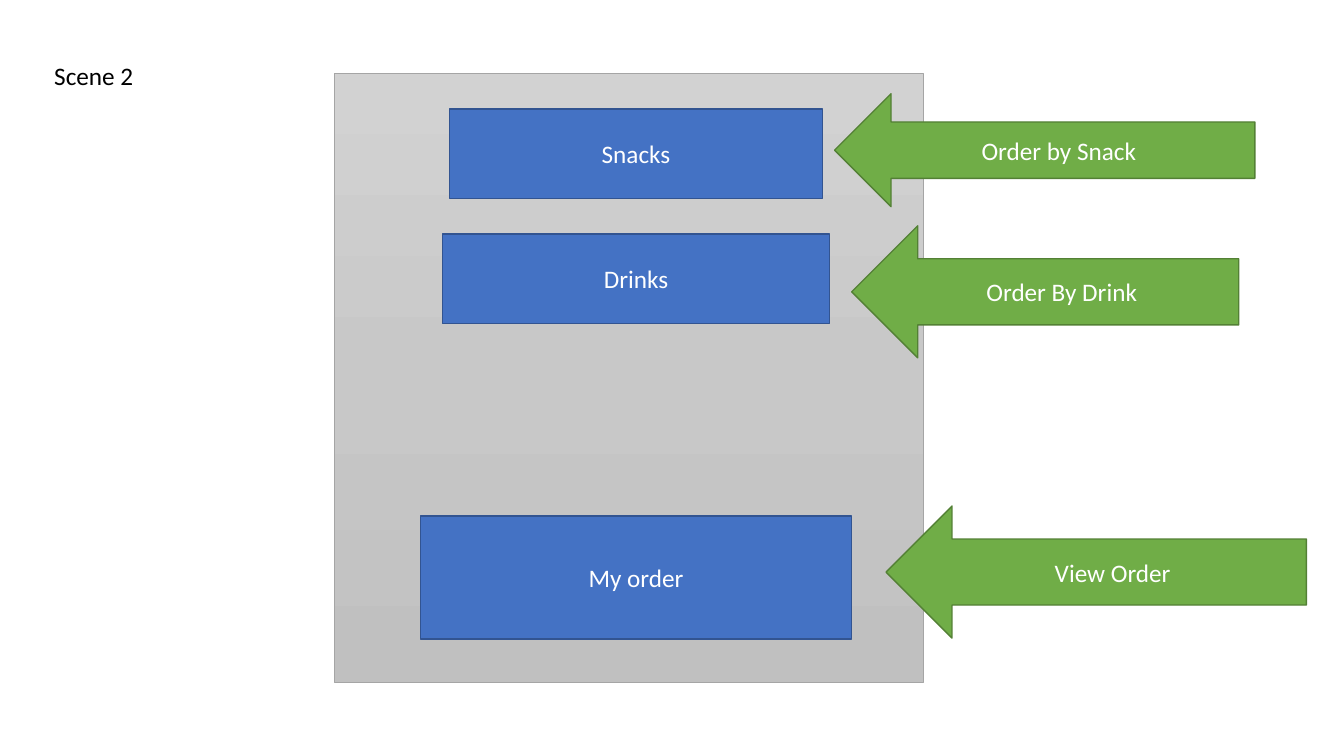
from copy import deepcopy

from pptx import Presentation
from pptx.dml.color import RGBColor
from pptx.enum.shapes import MSO_SHAPE
from pptx.enum.text import MSO_ANCHOR, MSO_AUTO_SIZE, PP_ALIGN
from pptx.oxml.ns import qn
from pptx.util import Pt

RECTANGLE = MSO_SHAPE.RECTANGLE
LEFT_ARROW = MSO_SHAPE.LEFT_ARROW
MIDDLE = MSO_ANCHOR.MIDDLE
CENTER = PP_ALIGN.CENTER
LEFT = PP_ALIGN.LEFT
GROW = MSO_AUTO_SIZE.SHAPE_TO_FIT_TEXT

COLORS = {
    "screen_top": "D2D2D2",
    "screen_middle": "C8C8C8",
    "screen_bottom": "C0C0C0",
    "screen_edge": "A5A5A5",
    "button": "4472C4",
    "button_edge": "325491",
    "arrow": "70AD47",
    "arrow_edge": "538035",
    "label": "FFFFFF",
    "heading": "000000",
}

SCREEN = (239.04, 52.56, 420.48, 434.88)
HEADING = (31.68, 39.6, 177.12, 28.8)
BUTTON_AXIS = 215.28
BUTTONS = [
    ("Snacks", 25.2, 266.4, 64.08),
    ("Drinks", 114.48, 276.48, 64.08),
    ("My order", 316.08, 308.16, 87.84),
]
ARROWS = [
    ("Order by Snack", 357.12, 14.4, 300.24, 80.64),
    ("Order By Drink", 369.36, 108.72, 276.48, 94.32),
    ("View Order", 393.84, 308.88, 300.24, 94.32),
]


def color(key):
    return RGBColor.from_string(COLORS[key])


def write(frame, words, color_key, align):
    frame.word_wrap = True
    paragraph = frame.paragraphs[0]
    paragraph.alignment = align
    run = paragraph.add_run()
    run.text = words
    run.font.name = "Calibri"
    run.font.size = Pt(18)
    run.font.color.rgb = color(color_key)


def add_outlined(slide, preset, box, edge, weight):
    outlined = slide.shapes.add_shape(preset, *map(Pt, box))
    outlined.shadow.inherit = False
    outlined.line.color.rgb = color(edge)
    outlined.line.width = Pt(weight)
    return outlined


def add_labelled(slide, preset, box, role, words):
    labelled = add_outlined(slide, preset, box, role + "_edge", 1)
    labelled.fill.solid()
    labelled.fill.fore_color.rgb = color(role)
    labelled.text_frame.vertical_anchor = MIDDLE
    write(labelled.text_frame, words, "label", CENTER)


def add_screen(slide, box):
    screen = add_outlined(slide, RECTANGLE, box, "screen_edge", 0.5)
    screen.fill.gradient()
    screen.fill.gradient_angle = 270
    stop_list = next(screen._element.iter(qn("a:gsLst")))
    stop_list.insert(1, deepcopy(stop_list[0]))
    shades = ("screen_top", "screen_middle", "screen_bottom")
    for index, (stop, shade) in enumerate(zip(screen.fill.gradient_stops, shades)):
        stop.position = index / 2
        stop.color.rgb = color(shade)


def add_buttons(slide, box):
    left, top = box[:2]
    for words, drop, width, height in BUTTONS:
        place = (left + BUTTON_AXIS - width / 2, top + drop, width, height)
        add_labelled(slide, RECTANGLE, place, "button", words)


def add_heading(slide, box):
    heading = slide.shapes.add_textbox(*map(Pt, box))
    write(heading.text_frame, "Scene 2", "heading", LEFT)
    heading.text_frame.auto_size = GROW


def add_arrows(slide, box):
    left, top = box[:2]
    for words, shift, drop, width, height in ARROWS:
        place = (left + shift, top + drop, width, height)
        add_labelled(slide, LEFT_ARROW, place, "arrow", words)


presentation = Presentation()
presentation.slide_width = Pt(960)
presentation.slide_height = Pt(540)
scene = presentation.slides.add_slide(presentation.slide_layouts[6])
add_screen(scene, SCREEN)
add_buttons(scene, SCREEN)
add_heading(scene, HEADING)
add_arrows(scene, SCREEN)
presentation.save("out.pptx")
